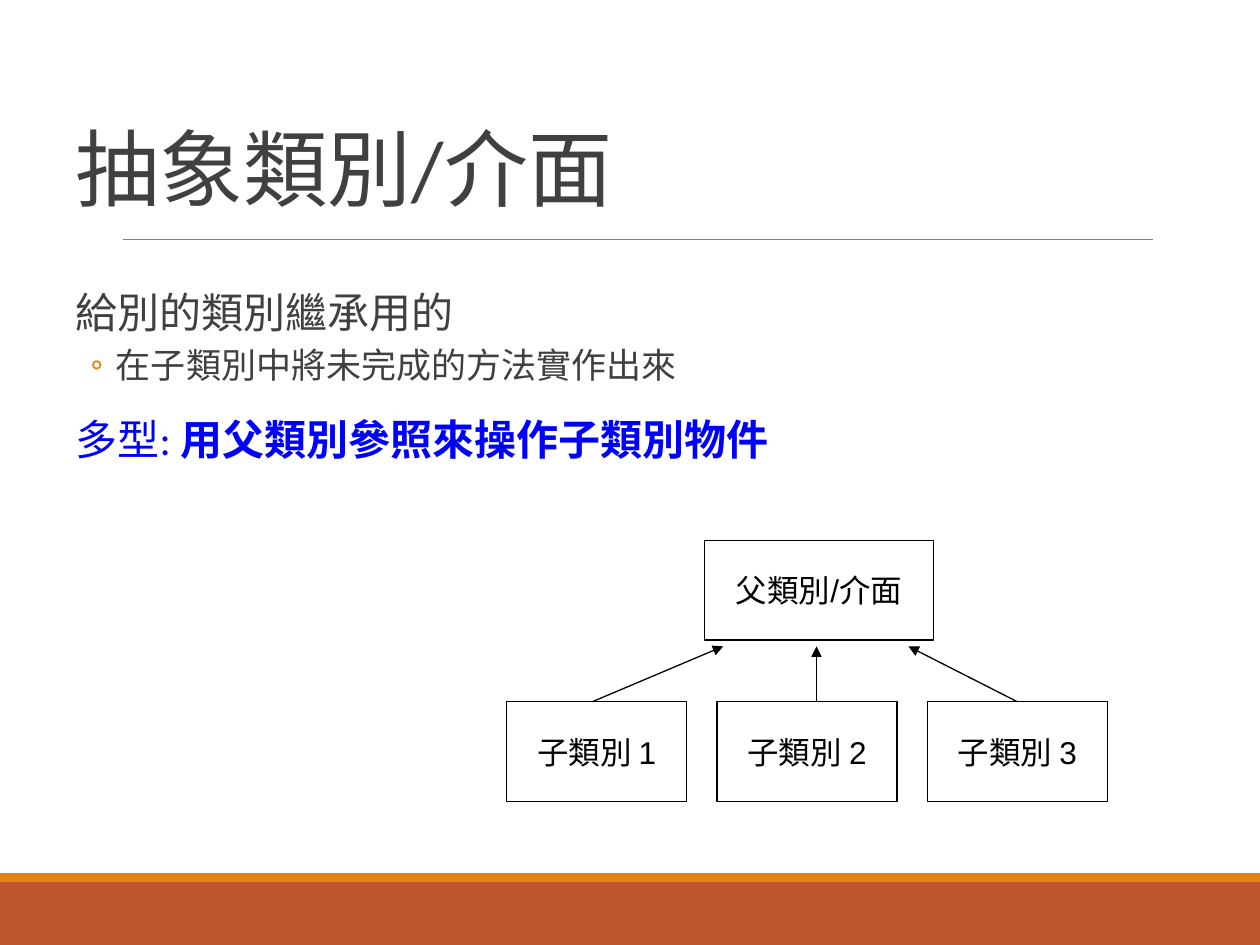
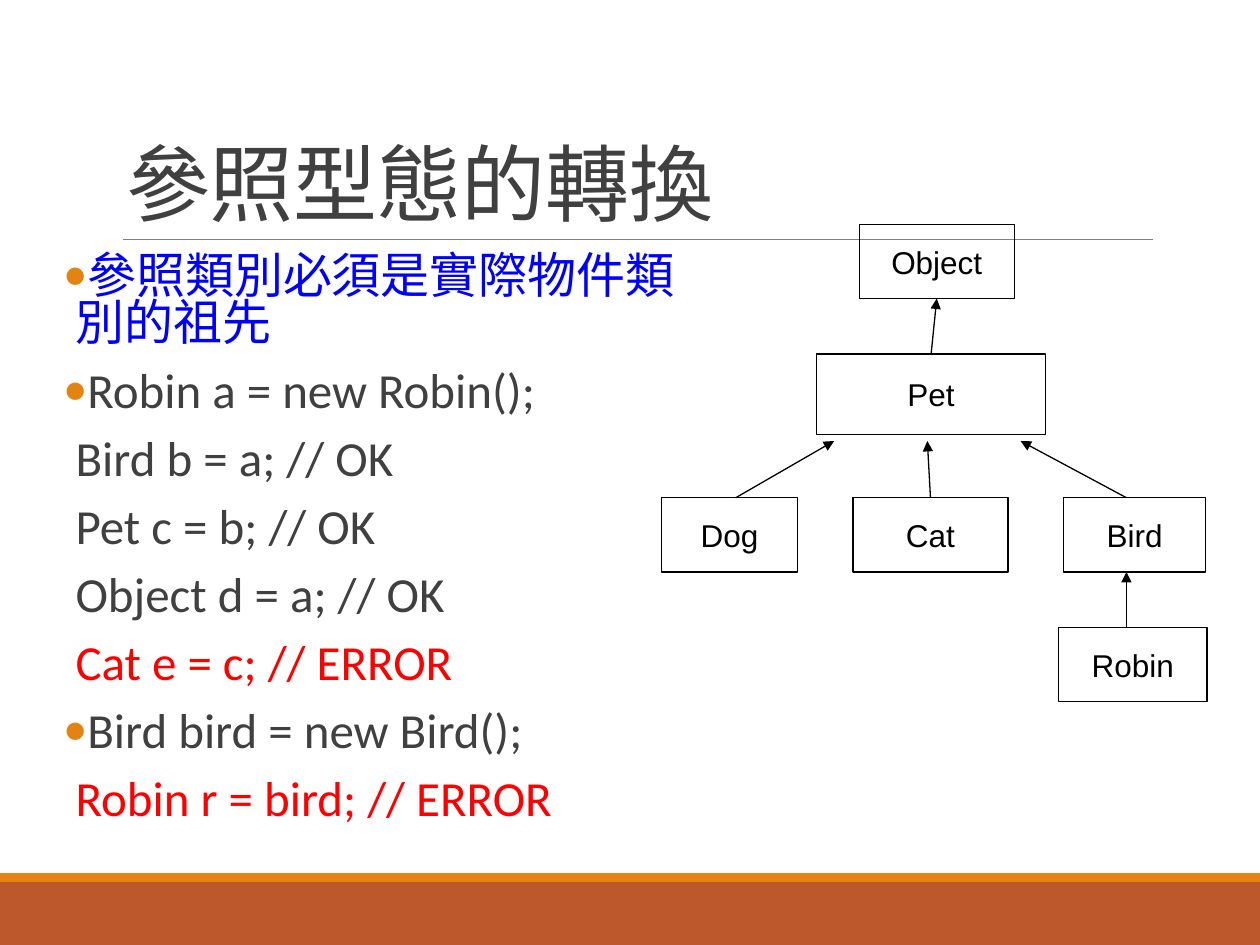
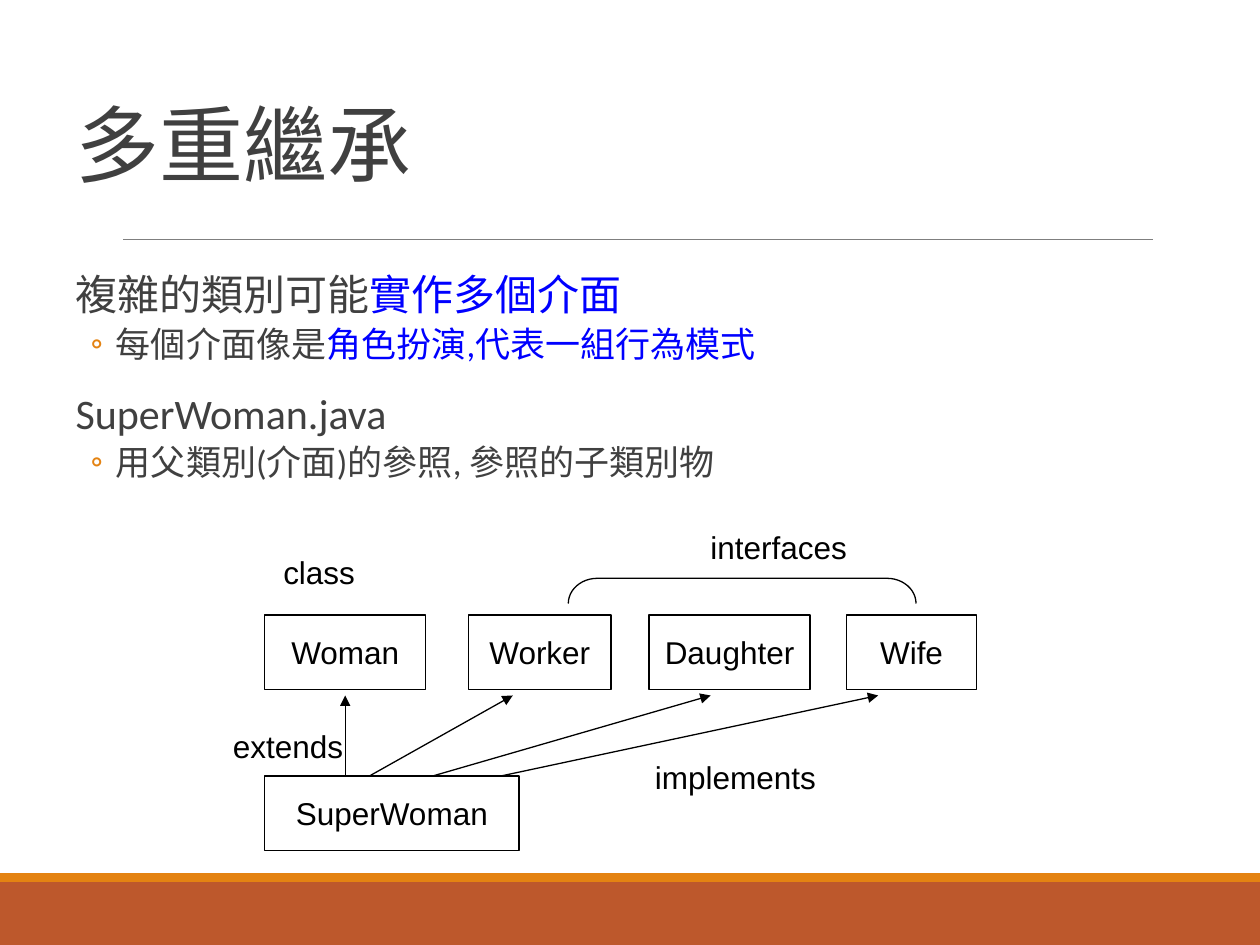
"""Build three slides on abstract classes, reference conversion and multiple inheritance."""
import pptx
import pptx.dml.color
import pptx.enum.dml
import pptx.enum.shapes
import pptx.enum.text
import pptx.oxml
import pptx.oxml.ns
import pptx.util
from lxml import etree

Inches = pptx.util.Inches
Pt = pptx.util.Pt
SHAPE = pptx.enum.shapes.MSO_SHAPE
STRAIGHT = pptx.enum.shapes.MSO_CONNECTOR.STRAIGHT
ALIGN = pptx.enum.text.PP_ALIGN
ANCHOR = pptx.enum.text.MSO_ANCHOR
FIT = pptx.enum.text.MSO_AUTO_SIZE
qn = pptx.oxml.ns.qn

COLORS = {
    "band": "BD582C",
    "accent": "E48312",
    "rule": "7F7F7F",
    "text": "404040",
    "ink": "000000",
    "key": "0000FF",
    "error": "FF0000",
}
LEVELS = {
    "plain": {"level": 0, "margin": 0.1, "indent": 0, "bullet": None, "before": 12, "after": 2, "size": 24},
    "sub": {"level": 1, "margin": 0.42, "indent": -0.2, "bullet": "◦", "before": 2, "after": 4, "size": 20},
    "code": {"level": 0, "margin": 0.1, "indent": 0, "bullet": None, "before": 12, "after": 0, "size": 28},
    "point": {"level": 0, "margin": 0.1, "indent": -0.1, "bullet": "•", "before": 12, "after": 0, "size": 28},
}
BOX_FRAME = {"word_wrap": False, "vertical_anchor": ANCHOR.MIDDLE,
             "margin_left": Inches(0.1), "margin_right": Inches(0.1)}
TITLE_FRAME = {"word_wrap": True, "vertical_anchor": ANCHOR.BOTTOM, "auto_size": FIT.NONE}
BODY_FRAME = {"word_wrap": True, "vertical_anchor": ANCHOR.TOP, "auto_size": FIT.NONE,
              "margin_left": 0, "margin_right": 0}
LABEL_FRAME = {"word_wrap": True, "auto_size": FIT.SHAPE_TO_FIT_TEXT}


def rgb(name):
    """Return the named colour."""
    return pptx.dml.color.RGBColor.from_string(COLORS[name])


def put(obj, values):
    """Set each attribute in values on obj."""
    for name, value in values.items():
        setattr(obj, name, value)


def place(sp, at):
    """Move and size a shape."""
    put(sp, dict(zip(("left", "top", "width", "height"), map(Inches, at))))


class Deck:
    """Hold the style and the current slide."""

    def __init__(self):
        """Start an empty presentation."""
        self.prs = pptx.Presentation()
        put(self.prs, {"slide_width": Inches(10), "slide_height": Inches(7.5)})
        self.s = None

    def slide(self, title, at):
        """Add a slide with its bands, rule and title."""
        self.s = self.prs.slides.add_slide(self.prs.slide_layouts[1])
        self.band((0, 7, 10, 0.5), "band")
        self.band((0, 6.93, 10, 0.07), "accent")
        self.line((0.98, 1.9), (9.15, 1.9), "rule", 0.5)
        sp = self.s.shapes.title
        place(sp, at)
        tf = sp.text_frame
        put(tf, TITLE_FRAME)
        p = tf.paragraphs[0]
        put(p, {"alignment": ALIGN.LEFT, "line_spacing": 0.85})
        self.run(p, title, "text", 48)

    def run(self, p, text, color, size, font="Calibri", bold=False):
        """Add a formatted run to a paragraph."""
        r = p.add_run()
        r.text = text
        put(r.font, {"name": font, "size": Pt(size), "bold": bold})
        r.font.color.rgb = rgb(color)

    def band(self, at, color):
        """Add a filled bar."""
        sp = self.s.shapes.add_shape(SHAPE.RECTANGLE, *map(Inches, at))
        sp.shadow.inherit = False
        sp.fill.solid()
        sp.fill.fore_color.rgb = rgb(color)
        sp.line.fill.background()

    def bullet(self, p, style):
        """Set a paragraph's indents and bullet."""
        pPr = p._p.get_or_add_pPr()
        pPr.set("marL", str(Inches(style["margin"])))
        pPr.set("indent", str(Inches(style["indent"])))
        if style["bullet"] is None:
            etree.SubElement(pPr, qn("a:buNone"))
            return
        clr = etree.SubElement(pPr, qn("a:buClr"))
        etree.SubElement(clr, qn("a:srgbClr"), val=COLORS["accent"])
        etree.SubElement(pPr, qn("a:buFont"), typeface="Calibri")
        etree.SubElement(pPr, qn("a:buChar"), char=style["bullet"])

    def body(self, at, spacing, items):
        """Fill the body placeholder with styled paragraphs."""
        sp = self.s.placeholders[1]
        place(sp, at)
        tf = sp.text_frame
        put(tf, BODY_FRAME)
        for i, (kind, *runs) in enumerate(items):
            p = tf.add_paragraph() if i else tf.paragraphs[0]
            style = LEVELS[kind]
            put(p, {"level": style["level"], "line_spacing": spacing,
                    "space_before": Pt(style["before"]), "space_after": Pt(style["after"])})
            self.bullet(p, style)
            for text, color, *bold in runs:
                self.run(p, text, color, style["size"], bold=bool(bold))

    def outline(self, kind, at):
        """Add an unfilled shape with a thin black line."""
        sp = self.s.shapes.add_shape(kind, *map(Inches, at))
        sp.shadow.inherit = False
        sp.fill.background()
        sp.line.color.rgb = rgb("ink")
        sp.line.width = Pt(0.75)
        return sp

    def box(self, text, *at):
        """Add a class box."""
        sp = self.outline(SHAPE.RECTANGLE, at)
        tf = sp.text_frame
        put(tf, BOX_FRAME)
        p = tf.paragraphs[0]
        p.alignment = ALIGN.CENTER
        self.run(p, text, "ink", 18, "Arial")
        return sp

    def label(self, text, *at):
        """Add a free label."""
        tf = self.s.shapes.add_textbox(*map(Inches, at)).text_frame
        put(tf, LABEL_FRAME)
        self.run(tf.paragraphs[0], text, "ink", 18, "Arial")

    def line(self, start, end, color="ink", width=0.75):
        """Add a straight line between two points."""
        c = self.s.shapes.add_connector(STRAIGHT, *map(Inches, start + end))
        c.line.color.rgb = rgb(color)
        c.line.width = Pt(width)
        etree.SubElement(c._element.spPr, qn("a:effectLst"))
        return c

    def arrow(self, start, end, child=None, parent=None):
        """Add an arrow, joined to a child's top and a parent's bottom if given."""
        c = self.line(start, end)
        etree.SubElement(c.line._get_or_add_ln(), qn("a:tailEnd"), type="triangle")
        if child is not None:
            c.begin_connect(child, 0)
        if parent is not None:
            c.end_connect(parent, 2)

    def bracket(self, *at):
        """Add a rounded bracket that opens downward."""
        sp = self.outline(SHAPE.LEFT_BRACKET, at)
        sp.rotation = 90
        sp.adjustments[0] = 1.15


def abstract_slide(d):
    """Show a parent type with three child classes."""
    d.slide("抽象類別/介面", (0.5, 0.5, 9, 1.28))
    d.body((0.5, 2.22, 9, 1.82), 1.0, [
        ("plain", ("給別的類別繼承用的", "text")),
        ("sub", ("在子類別中將未完成的方法實作出來", "text")),
        ("plain", ("多型: ", "key"), ("用父類別參照來操作子類別物件", "key", True)),
    ])
    d.box("父類別/介面", 5.59, 4.29, 1.82, 0.79)
    children = [d.box(f"子類別 {i + 1}", 4.02 + 1.67 * i, 5.57, 1.43, 0.79) for i in range(3)]
    d.arrow((4.7, 5.57), (5.74, 5.13))
    d.arrow((6.48, 5.57), (6.48, 5.13))
    d.arrow((8.05, 5.57), (7.21, 5.13), children[2])


def reference_slide(d):
    """Show which reference conversions are allowed."""
    d.slide("參照型態的轉換", (0.9, 0.31, 8.25, 1.59))
    d.body((0.5, 1.98, 5.09, 5.03), 0.8, [
        ("point", ("參照類別必須是實際物件類別的祖先", "key")),
        ("point", ("Robin a = new Robin();", "text")),
        ("code", ("Bird b = a; // OK", "text")),
        ("code", ("Pet c = b; // OK", "text")),
        ("code", ("Object d = a; // OK", "text")),
        ("code", ("Cat e = c; // ERROR", "error")),
        ("point", ("Bird bird = new Bird();", "text")),
        ("code", ("Robin r = bird; // ERROR", "error")),
    ])
    root = d.box("Object", 6.82, 1.78, 1.23, 0.59)
    pet = d.box("Pet", 6.48, 2.81, 1.82, 0.64)
    d.box("Dog", 5.25, 3.95, 1.08, 0.59)
    cat = d.box("Cat", 6.77, 3.95, 1.23, 0.59)
    d.box("Bird", 8.44, 3.95, 1.13, 0.59)
    d.box("Robin", 8.4, 4.98, 1.18, 0.59)
    d.arrow((7.41, 2.81), (7.41, 2.37), pet, root)
    d.arrow((5.84, 3.95), (6.62, 3.5))
    d.arrow((7.36, 3.95), (7.36, 3.5), cat)
    d.arrow((8.94, 3.95), (8.1, 3.5))
    d.arrow((8.94, 4.98), (8.94, 4.54))


def inheritance_slide(d):
    """Show one class with a parent class and three interfaces."""
    d.slide("多重繼承", (0.5, 0.5, 9, 1.09))
    d.body((0.5, 2.13, 9.13, 2.21), 0.9, [
        ("plain", ("複雜的類別可能", "text"), ("實作多個介面", "key")),
        ("sub", ("每個介面像是", "text"), ("角色扮演,代表一組行為模式", "key")),
        ("plain", ("SuperWoman.java", "text")),
        ("sub", ("用父類別(介面)的參照, 參照的子類別物", "text")),
    ])
    for text, x, w in (("Woman", 2.1, 1.28), ("Worker", 3.72, 1.13),
                       ("Daughter", 5.15, 1.28), ("Wife", 6.72, 1.03)):
        d.box(text, x, 4.88, w, 0.59)
    d.box("SuperWoman", 2.1, 6.16, 2.02, 0.59)
    for x1, x2 in ((2.74, 2.74), (2.93, 4.07), (3.43, 5.64), (3.97, 6.97)):
        d.arrow((x1, 6.16), (x2, 5.52))
    d.bracket(5.79, 3.31, 0.2, 2.76)
    d.label("interfaces", 5.54, 4.14, 1.43, 0.4)
    d.label("class", 2.15, 4.34, 1.43, 0.4)
    d.label("extends", 1.75, 5.72, 1.43, 0.4)
    d.label("implements", 5.1, 5.97, 1.57, 0.4)


def main():
    """Build and save the deck."""
    d = Deck()
    abstract_slide(d)
    reference_slide(d)
    inheritance_slide(d)
    d.prs.save("out.pptx")


if __name__ == "__main__":
    main()
